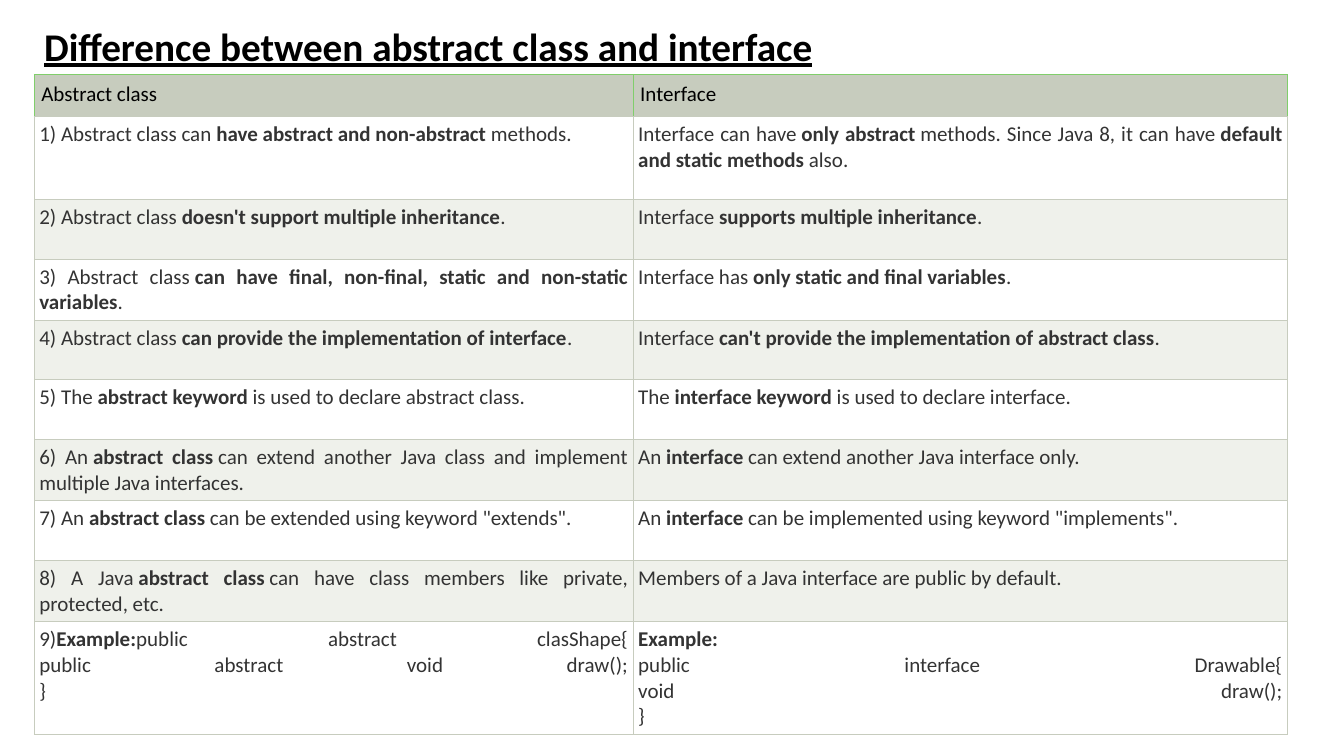
from lxml.etree import SubElement
from pptx import Presentation
from pptx.dml.color import RGBColor
from pptx.enum.text import MSO_AUTO_SIZE, PP_ALIGN
from pptx.oxml.ns import qn
from pptx.util import Inches, Pt

TITLE = "Difference between abstract class and interface"
HEADER = ("Abstract class", "Interface")
# Asterisks enclose bold words.
ROWS = [
    ("1) Abstract class can *have abstract and non-abstract* methods.",
     "Interface can have *only abstract* methods. Since Java 8, it can have "
     "*default and static methods* also."),
    ("2) Abstract class *doesn't support multiple inheritance*.",
     "Interface *supports multiple inheritance*."),
    ("3) Abstract class *can have final, non-final, static and non-static variables*.",
     "Interface has *only static and final variables*."),
    ("4) Abstract class *can provide the implementation of interface*.",
     "Interface *can't provide the implementation of abstract class*."),
    ("5) The *abstract keyword* is used to declare abstract class.",
     "The *interface keyword* is used to declare interface."),
    ("6) An *abstract class* can extend another Java class and implement "
     "multiple Java interfaces.",
     "An *interface* can extend another Java interface only."),
    ("7) An *abstract class* can be extended using keyword \"extends\".",
     "An *interface* can be implemented using keyword \"implements\"."),
    ("8) A Java *abstract class* can have class members like private, protected, etc.",
     "Members of a Java interface are public by default."),
    ("9)*Example:*public abstract clasShape{\npublic abstract void draw();\n}",
     "*Example:*\npublic interface Drawable{\nvoid draw();\n}"),
]
COLUMN_WIDTHS = (5.94, 6.49)
ROW_HEIGHTS = (0.42, 0.82, 0.59, 0.61, 0.59, 0.59, 0.61, 0.59, 0.61, 1.12)

FONT = "Calibri"
BLACK = RGBColor(0x00, 0x00, 0x00)
DARK_GRAY = RGBColor(0x33, 0x33, 0x33)
WHITE = RGBColor(0xFF, 0xFF, 0xFF)
PALE_SAGE = RGBColor(0xEF, 0xF1, 0xEB)
SAGE = RGBColor(0xC7, 0xCC, 0xBE)
GREEN = RGBColor(0x80, 0xCE, 0x6B)
HARD_SPACE = chr(160)


def set_font(para, size, color):
    para.font.name = FONT
    para.font.size = Pt(size)
    para.font.color.rgb = color


def add_marked_text(para, text):
    """Add runs, bold between asterisks, with hard spaces around bold words."""
    pieces = text.split("*")
    for index, piece in enumerate(pieces):
        if index > 0 and piece.startswith(" "):
            piece = HARD_SPACE + piece[1:]
        if index < len(pieces) - 1 and piece.endswith(" "):
            piece = piece[:-1] + HARD_SPACE
        for number, line in enumerate(piece.split("\n")):
            if number:
                para.add_line_break()
            if line:
                span = para.add_run()
                span.text = line
                span.font.bold = index % 2 == 1


def set_borders(cell, outer, bottom):
    properties = cell._tc.get_or_add_tcPr()
    sides = (("a:lnL", outer), ("a:lnR", outer), ("a:lnT", outer), ("a:lnB", bottom))
    for position, (tag, color) in enumerate(sides):
        line = SubElement(properties, qn(tag), w=str(Pt(0.75)))
        fill = SubElement(line, qn("a:solidFill"))
        SubElement(fill, qn("a:srgbClr"), val=str(color))
        properties.insert(position, line)


def fill_cell(cell, text, is_header, background):
    inset = Inches(0.07 if is_header else 0.05)
    cell.margin_left = cell.margin_right = inset
    cell.margin_top = cell.margin_bottom = inset
    cell.fill.solid()
    cell.fill.fore_color.rgb = background
    set_borders(cell, GREEN if is_header else SAGE, SAGE)
    para = cell.text_frame.paragraphs[0]
    para.alignment = PP_ALIGN.LEFT if is_header else PP_ALIGN.JUSTIFY
    set_font(para, 15, BLACK if is_header else DARK_GRAY)
    add_marked_text(para, text)


def main():
    deck = Presentation()
    deck.slide_width, deck.slide_height = Inches(13.33), Inches(7.5)
    page = deck.slides.add_slide(deck.slide_layouts[6])

    box = page.shapes.add_textbox(Inches(0.34), Inches(0.17), Inches(11.1), Inches(0.57))
    box.text_frame.word_wrap = True
    box.text_frame.auto_size = MSO_AUTO_SIZE.SHAPE_TO_FIT_TEXT
    title = box.text_frame.paragraphs[0]
    title.text = TITLE
    title.alignment = PP_ALIGN.JUSTIFY
    set_font(title, 28, BLACK)
    title.font.bold = title.font.underline = True

    table = page.shapes.add_table(
        len(ROW_HEIGHTS), len(COLUMN_WIDTHS), Inches(0.34), Inches(0.74),
        Inches(sum(COLUMN_WIDTHS)), Inches(sum(ROW_HEIGHTS))).table
    table.horz_banding = False
    table.first_row = False
    for column, width in zip(table.columns, COLUMN_WIDTHS):
        column.width = Inches(width)
    for row, height in zip(table.rows, ROW_HEIGHTS):
        row.height = Inches(height)
    for r, texts in enumerate([HEADER] + ROWS):
        background = SAGE if r == 0 else WHITE if r % 2 else PALE_SAGE
        for c, text in enumerate(texts):
            fill_cell(table.cell(r, c), text, r == 0, background)

    deck.save("out.pptx")


if __name__ == "__main__":
    main()
